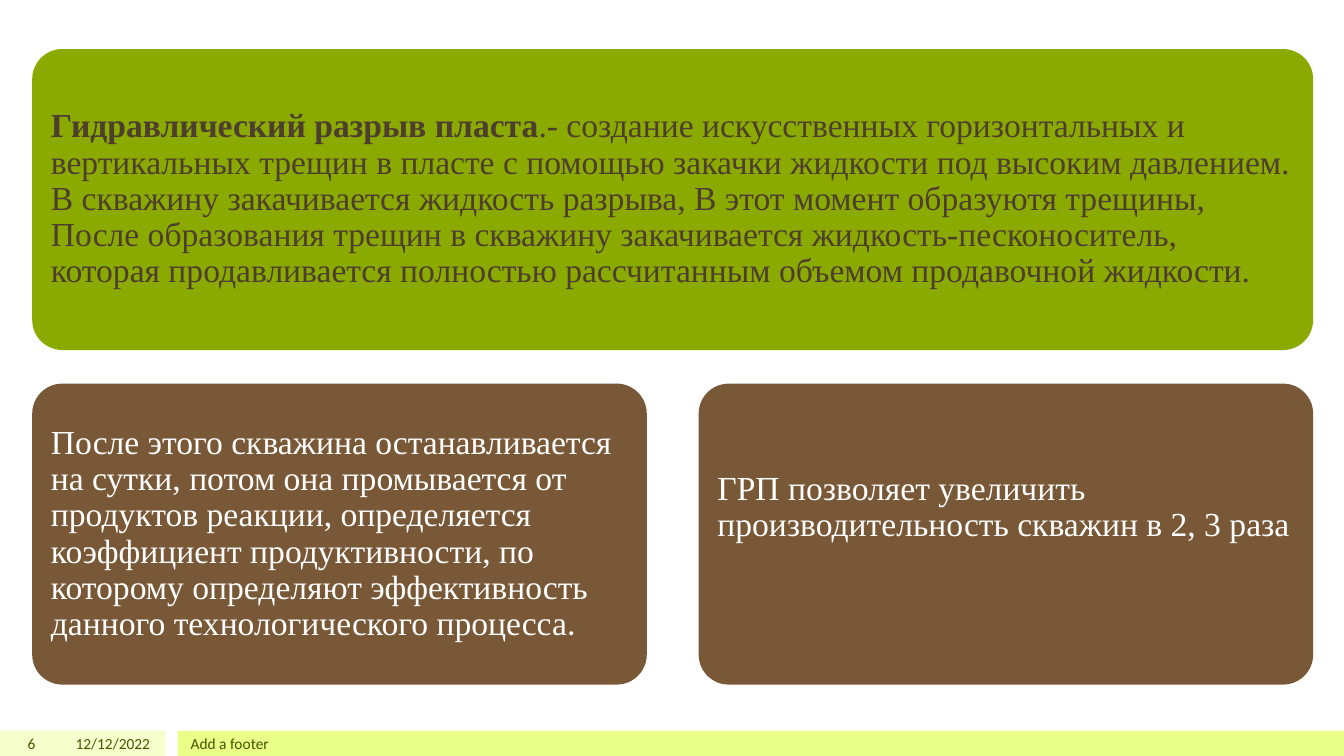
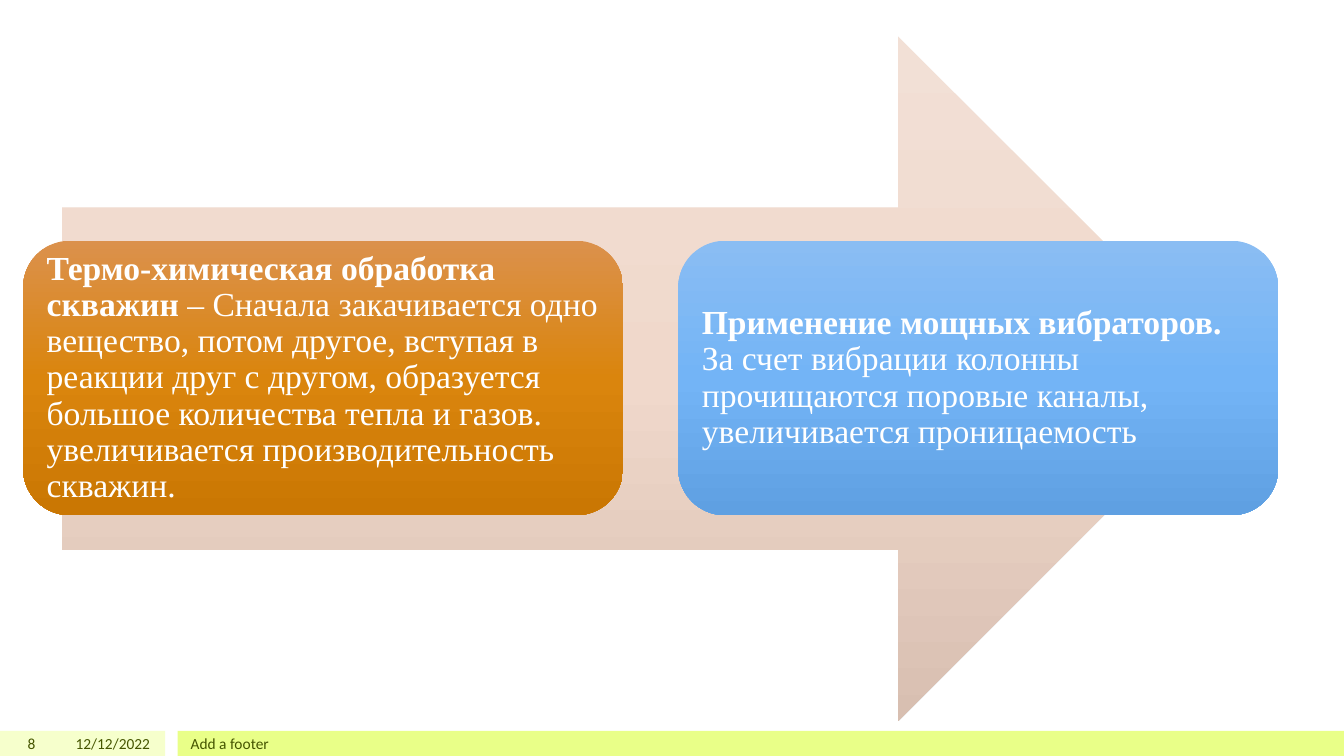
import copy

import pptx
import pptx.dml.color
import pptx.enum.shapes
import pptx.enum.text
import pptx.oxml.ns
import pptx.util

Pt = pptx.util.Pt
RGBColor = pptx.dml.color.RGBColor
SHAPE = pptx.enum.shapes.MSO_SHAPE
HOLDER = pptx.enum.shapes.PP_PLACEHOLDER
ALIGN = pptx.enum.text.PP_ALIGN
MIDDLE = pptx.enum.text.MSO_ANCHOR.MIDDLE

COLORS = {
    "pale_band": "F6FFCC", "lime_band": "E9FF88", "footer": "455500",
    "green": "8BAA00", "brown": "795837", "dark": "4D3E2F", "white": "FFFFFF",
}
GRADIENTS = {
    "sand": ("F2E0D6", "F0D8CB", "D8BFB1"),
    "orange": ("DB914C", "DA850D", "CA7703"),
    "blue": ("8ABDF3", "73B4F6", "5FA0E2"),
}
BODY_FONT, FOOTER_FONT = "Times New Roman", "Calibri"
FOOTER_TOP, FOOTER_HEIGHT = 522, 18
INSET = 7.2


def add_panel(slide, kind, box, fill):
    """Add an unlined shape; fill names a plain colour or a vertical gradient."""
    shape = slide.shapes.add_shape(kind, *map(Pt, box))
    shape.shadow.inherit = False
    shape.line.fill.background()
    if fill in COLORS:
        shape.fill.solid()
        shape.fill.fore_color.rgb = RGBColor.from_string(COLORS[fill])
        return shape
    shape.fill.gradient()
    shape.fill.gradient_angle = 270
    stops = shape.element.spPr.find(".//" + pptx.oxml.ns.qn("a:gsLst"))
    stops.append(copy.deepcopy(stops[0]))
    for index, stop in enumerate(shape.fill.gradient_stops):
        stop.position = index / 2
        stop.color.rgb = RGBColor.from_string(GRADIENTS[fill][index])
    return shape


def add_run(paragraph, text, size, color, font=BODY_FONT, bold=False):
    run = paragraph.add_run()
    run.text = text
    run.font.name, run.font.size, run.font.bold = font, Pt(size), bold
    run.font.color.rgb = RGBColor.from_string(COLORS[color])


presentation = pptx.Presentation()
presentation.slide_width, presentation.slide_height = Pt(960), Pt(540)
layout = presentation.slide_layouts[6]

# Slides with their footers
slides = []
for number in ("6", "8"):
    slide = presentation.slides.add_slide(layout)
    slides.append(slide)
    footers = {
        HOLDER.SLIDE_NUMBER: (number, 0, 32.5, ALIGN.RIGHT),
        HOLDER.DATE: ("12/12/2022", 36, 78.5, ALIGN.RIGHT),
        HOLDER.FOOTER: ("Add a footer", 129, 720, ALIGN.LEFT),
    }
    for placeholder in layout.placeholders:
        slide.shapes.element.append(copy.deepcopy(placeholder.element))
    for placeholder in slide.placeholders:
        text, left, width, alignment = footers[placeholder.placeholder_format.type]
        placeholder.left, placeholder.top = Pt(left), Pt(FOOTER_TOP)
        placeholder.width, placeholder.height = Pt(width), Pt(FOOTER_HEIGHT)
        frame = placeholder.text_frame
        frame.clear()
        frame.vertical_anchor = MIDDLE
        frame.paragraphs[0].alignment = alignment
        add_run(frame.paragraphs[0], text, 11, "footer", FOOTER_FONT)

# Bands are moved to the layout, so that every slide shows them
for left, width, color in ((0, 118, "pale_band"), (127, 833, "lime_band")):
    band = add_panel(slides[0], SHAPE.RECTANGLE,
                     (left, FOOTER_TOP, width, FOOTER_HEIGHT), color)
    layout.shapes.element.append(band.element)

fracturing, treatments = slides
add_panel(treatments, SHAPE.RIGHT_ARROW, (44, 26, 842, 489), "sand")

# Cards: slide, box, fill, corner, text colour, extra bottom inset, runs (text, bold, font)
cards = [
    (fracturing, (23, 35, 915, 215), "green", 0.1, "dark", 0, [
        ("Гидравлический разрыв пласта", True, BODY_FONT),
        (".- создание искусственных горизонтальных и вертикальных трещин в пласте "
         "с помощью закачки жидкости под высоким давлением. В скважину закачивается "
         "жидкость разрыва, В этот момент образуютя трещины, После образования трещин "
         "в скважину закачивается жидкость-песконоситель, которая продавливается "
         "полностью рассчитанным объемом продавочной жидкости.", False, BODY_FONT)]),
    (fracturing, (23, 274, 439, 215), "brown", 0.1, "white", 0, [
        ("После этого скважина останавливается на сутки, потом она промывается от "
         "продуктов реакции, определяется коэффициент продуктивности, по которому "
         "определяют эффективность данного технологического процесса", False, BODY_FONT),
        (".", False, FOOTER_FONT)]),
    (fracturing, (499, 274, 439, 215), "brown", 0.1, "white", 38, [
        ("ГРП позволяет увеличить производительность скважин в 2, 3 раза",
         False, BODY_FONT)]),
    (treatments, (16.5, 172, 428.5, 196), "orange", 0.17, "white", 0, [
        ("Термо-химическая обработка скважин", True, BODY_FONT),
        (" – Сначала закачивается одно вещество, потом другое, вступая в реакции "
         "друг с другом, образуется большое количества тепла и газов. увеличивается "
         "производительность скважин.", False, BODY_FONT)]),
    (treatments, (484.5, 172, 428.5, 196), "blue", 0.17, "white", 0, [
        ("Применение мощных вибраторов. ", True, BODY_FONT),
        ("За счет вибрации колонны прочищаются поровые каналы, увеличивается "
         "проницаемость", False, BODY_FONT)]),
]
for slide, box, fill, corner, color, extra_bottom, runs in cards:
    card = add_panel(slide, SHAPE.ROUNDED_RECTANGLE, box, fill)
    card.adjustments[0] = corner
    frame = card.text_frame
    frame.word_wrap = True
    frame.vertical_anchor = MIDDLE
    frame.margin_left = frame.margin_right = frame.margin_top = Pt(INSET)
    frame.margin_bottom = Pt(INSET + extra_bottom)
    paragraph = frame.paragraphs[0]
    paragraph.alignment = ALIGN.LEFT
    paragraph.line_spacing = 0.9
    for text, bold, font in runs:
        add_run(paragraph, text, 24, color, font, bold)

presentation.save("out.pptx")
